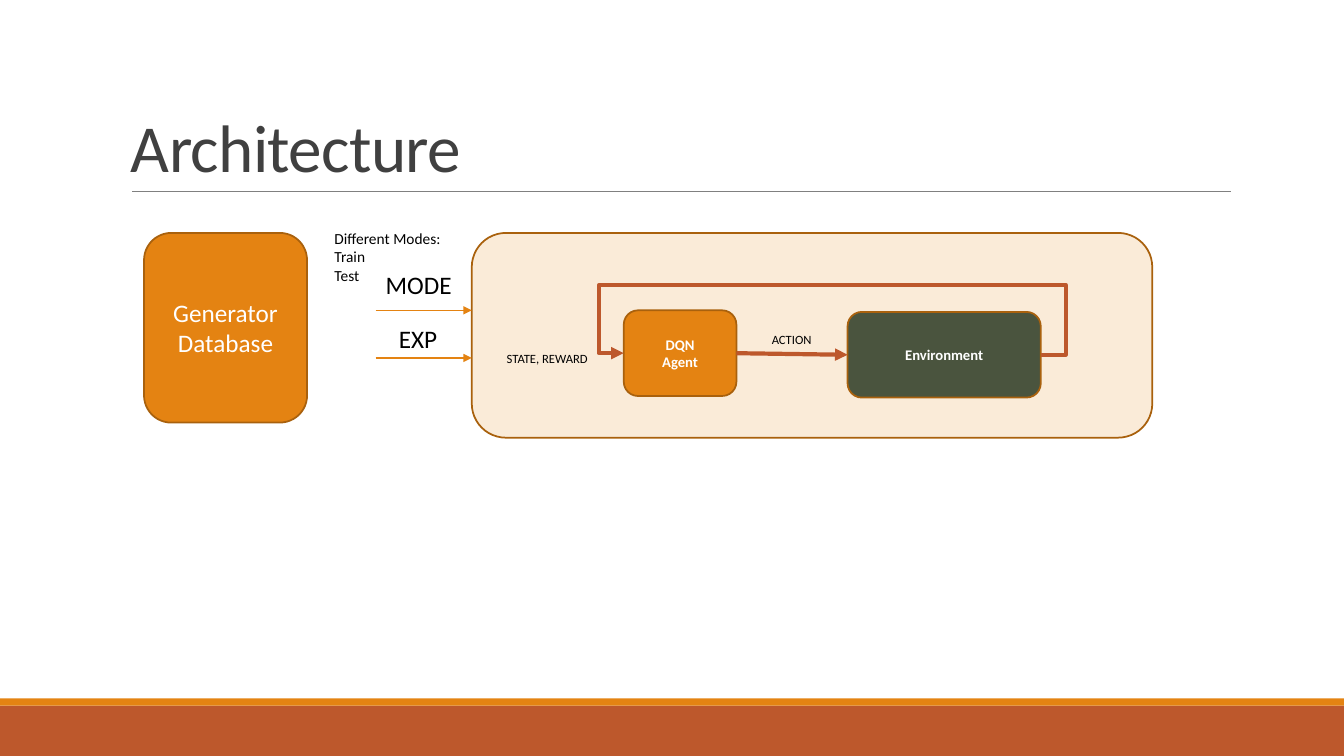
from collections import namedtuple
from dataclasses import dataclass

from pptx import Presentation
from pptx.dml.color import RGBColor
from pptx.enum.shapes import MSO_CONNECTOR as Link, MSO_SHAPE as Preset
from pptx.enum.text import MSO_ANCHOR as Anchor, PP_ALIGN as Align
from pptx.oxml.ns import qn
from pptx.util import Cm, Pt
from lxml.etree import SubElement

Box = namedtuple("Box", "x y w h")
TOP, LEFT, BOTTOM, RIGHT = range(4)


@dataclass(frozen=True)
class Theme:
    font: str = "Calibri"
    orange: str = "E48312"
    rust: str = "BD582C"
    brown: str = "A9610D"
    olive: str = "4A543E"
    grey: str = "808080"
    title_ink: str = "404040"
    black: str = "000000"
    white: str = "FFFFFF"
    title: float = 48
    large: float = 18
    note: float = 11
    node: float = 10.5
    small: float = 9


THEME = Theme()


def rgb(code):
    return RGBColor.from_string(code)


def inside(box, x, y, w, h):
    return Box(box.x + x, box.y + y, w, h)


def write(frame, lines, size, color, bold=False, align=Align.LEFT):
    for index, line in enumerate(lines):
        paragraph = frame.paragraphs[0] if index == 0 else frame.add_paragraph()
        paragraph.alignment = align
        run = paragraph.add_run()
        run.text = line
        run.font.name = THEME.font
        run.font.size = Pt(size)
        run.font.bold = bold
        run.font.color.rgb = rgb(color)


def add_block(slide, box, fill, preset=Preset.ROUNDED_RECTANGLE, outline=THEME.brown):
    block = slide.shapes.add_shape(preset, *map(Cm, box))
    block.shadow.inherit = False
    block.fill.solid()
    block.fill.fore_color.rgb = rgb(fill)
    if outline:
        block.line.color.rgb = rgb(outline)
        block.line.width = Pt(1.25)
    else:
        block.line.fill.background()
    return block


def add_node(slide, box, fill, lines, size, bold=True):
    node = add_block(slide, box, fill)
    node.text_frame.word_wrap = True
    node.text_frame.vertical_anchor = Anchor.MIDDLE
    write(node.text_frame, lines, size, THEME.white, bold, Align.CENTER)
    return node


def add_label(slide, box, lines, size, color=THEME.black, wrap=False):
    frame = slide.shapes.add_textbox(*map(Cm, box)).text_frame
    frame.word_wrap = wrap
    write(frame, lines, size, color)
    return frame


def add_link(slide, start, end, color, width, kind=Link.STRAIGHT, arrow=True):
    link = slide.shapes.add_connector(kind, *map(Cm, (*start, *end)))
    link.line.color.rgb = rgb(color)
    link.line.width = Pt(width)
    if arrow:
        SubElement(link.line._get_or_add_ln(), qn("a:tailEnd"), type="triangle")
    SubElement(link._element.spPr, qn("a:effectLst"))
    return link


def add_footer(slide, box):
    stripe = 0.18
    add_block(slide, inside(box, 0, stripe, box.w, box.h - stripe),
              THEME.rust, Preset.RECTANGLE, None)
    add_block(slide, Box(box.x, box.y, box.w, stripe),
              THEME.orange, Preset.RECTANGLE, None)


def add_heading(slide, box):
    base = box.y + box.h
    add_link(slide, (box.x + 0.28, base), (box.x + box.w + 0.02, base),
             THEME.grey, 0.5, arrow=False)
    frame = add_label(slide, box, ["Architecture"], THEME.title, THEME.title_ink, True)
    frame.vertical_anchor = Anchor.BOTTOM
    heading = frame.paragraphs[0]
    heading.line_spacing = 0.85
    heading.runs[0].font._element.set("spc", "-50")


def add_feedback(slide, environment, agent, reach, rise):
    feedback = add_link(slide, (0, 0), (1, 1), THEME.rust, 3, Link.ELBOW)
    feedback.begin_connect(environment, RIGHT)
    feedback.end_connect(agent, LEFT)
    outward = Cm(reach) / feedback.width
    upward = Cm(rise) / feedback.height
    geometry = feedback._element.spPr.find(qn("a:prstGeom"))
    geometry.set("prst", "bentConnector5")
    guides = geometry.find(qn("a:avLst"))
    for number, share in enumerate((-outward, upward, 1 + outward), 1):
        SubElement(guides, qn("a:gd"), name=f"adj{number}",
                   fmla=f"val {round(share * 100000)}")


def add_learning_loop(slide, box):
    panel = add_block(slide, box, THEME.orange)
    tint = panel.fill._xPr.find(qn("a:solidFill"))[0]
    SubElement(tint, qn("a:alpha"), val="16000")
    agent = add_node(slide, inside(box, 3.83, 1.95, 2.84, 2.16),
                     THEME.orange, ["DQN", "Agent"], THEME.node)
    environment = add_node(slide, inside(box, 9.47, 1.99, 4.87, 2.16),
                           THEME.olive, ["Environment"], THEME.node)
    action = add_link(slide, (0, 0), (1, 1), THEME.rust, 3)
    action.begin_connect(agent, RIGHT)
    action.end_connect(environment, LEFT)
    add_feedback(slide, environment, agent, 0.63, 1.75)
    add_label(slide, inside(box, 0.63, 2.84, 2.64, 0.64), ["STATE, REWARD"], THEME.small)
    add_label(slide, inside(box, 7.31, 2.36, 1.75, 1.12), ["ACTION"], THEME.small)


def add_inputs(slide, box):
    add_label(slide, inside(box, 0, 0, 3.23, 1.68),
              ["Different Modes:", "Train", "Test"], THEME.note)
    for name, x, y, w, arrow_y in (("MODE", 1.29, 1.01, 2.18, 2.18),
                                   ("EXP", 1.62, 2.39, 1.5, 3.38)):
        add_label(slide, inside(box, x, y, w, 1.02), [name], THEME.large)
        add_link(slide, (box.x + 1.29, box.y + arrow_y),
                 (box.x + box.w, box.y + arrow_y), THEME.orange, 1)


def add_database(slide, box):
    add_node(slide, box, THEME.orange, ["Generator Database"], THEME.large, False)


def main():
    deck = Presentation()
    deck.slide_width, deck.slide_height = Cm(33.87), Cm(19.05)
    slide = deck.slides.add_slide(deck.slide_layouts[6])
    add_footer(slide, Box(0, 17.6, 33.87, 1.45))
    add_heading(slide, Box(3.05, 0.79, 27.94, 4.04))
    add_learning_loop(slide, Box(11.89, 5.87, 17.15, 5.16))
    add_inputs(slide, Box(8.18, 5.64, 3.71, 4))
    add_database(slide, Box(3.63, 5.87, 4.11, 4.78))
    deck.save("out.pptx")


if __name__ == "__main__":
    main()
